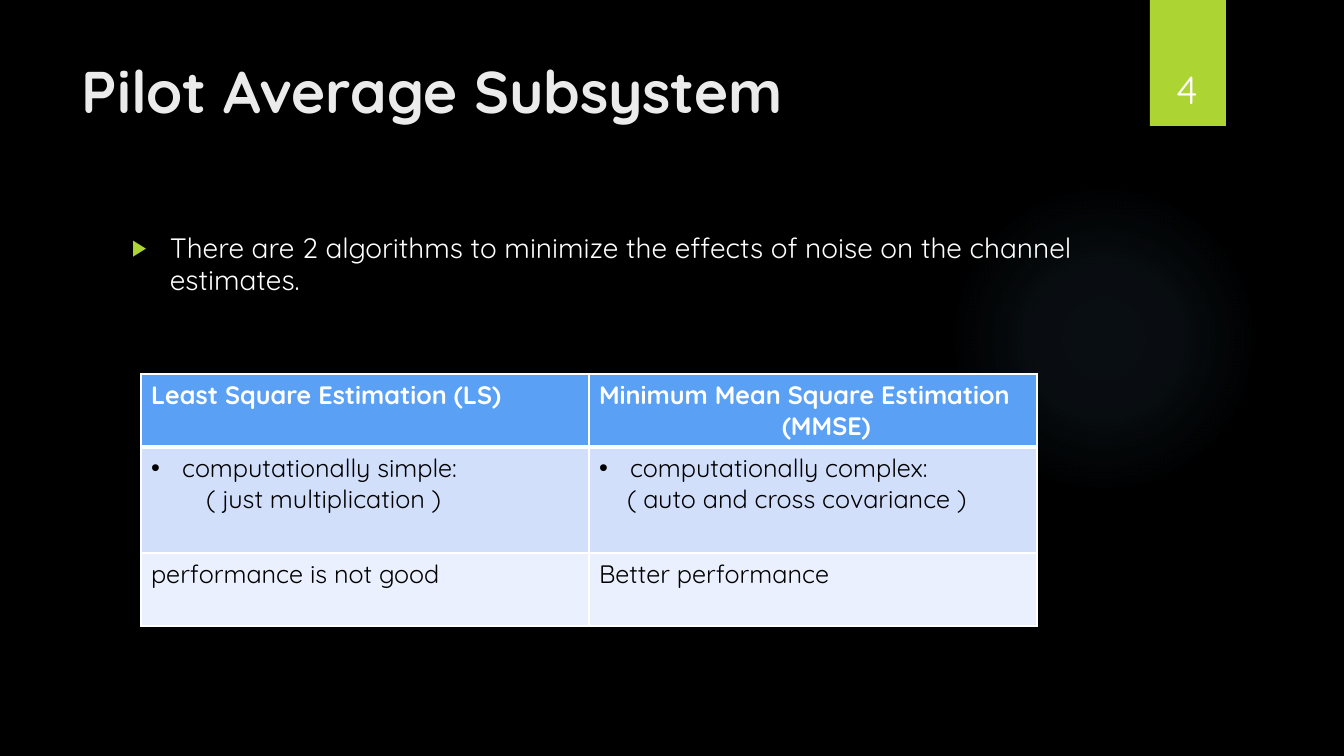
from lxml import etree
from pptx import Presentation, util as u
from pptx.dml.color import RGBColor
from pptx.enum import shapes, text
from pptx.oxml import parse_xml
from pptx.oxml.ns import qn

SCALE = 914400 / 100.8
FONT = "Quicksand"
NAMESPACE = "http://schemas.openxmlformats.org/drawingml/2006/main"
COLORS = {
    "black": "000000", "white": "FFFFFF", "title": "EBEBEB",
    "green": "ACD433", "glow": "7AC4F0",
    "header": "5AA0F5", "band": "D2DFFB", "light": "EAF0FD",
}


def px(length):
    return u.Emu(round(length * SCALE))


def rgb(name):
    return RGBColor.from_string(COLORS[name])


def style(para, size, color, bold=False):
    for span in para.runs:
        span.font.name = FONT
        span.font.size = u.Pt(size)
        span.font.bold = bold
        span.font.color.rgb = rgb(color)


def indent(para, left, bullet=None, color=None, percent=100):
    props = para._p.get_or_add_pPr()
    props.set("marL", str(px(left)))
    if bullet:
        props.set("indent", str(-px(left)))
        if color:
            tint = etree.SubElement(props, qn("a:buClr"))
            etree.SubElement(tint, qn("a:srgbClr"), val=COLORS[color])
        etree.SubElement(props, qn("a:buSzPct"), val=str(percent * 1000))
        etree.SubElement(props, qn("a:buFont"), typeface="Arial")
        etree.SubElement(props, qn("a:buChar"), char=bullet)


def add_text(page, box, words, size, color, bold=False):
    frame = page.shapes.add_textbox(*map(px, box)).text_frame
    frame.word_wrap = True
    frame.text = words
    para = frame.paragraphs[0]
    style(para, size, color, bold)
    return frame, para


def add_plain_shape(page, kind, box):
    shape = page.shapes.add_shape(kind, *map(px, box))
    shape.shadow.inherit = False
    shape.line.fill.background()
    return shape


def add_glow(page, box):
    glow = add_plain_shape(page, shapes.MSO_SHAPE.OVAL, box)
    stops = "".join(
        f'<a:gs pos="{position * 1000}"><a:srgbClr val="{COLORS["glow"]}">'
        f'<a:alpha val="{alpha * 1000}"/></a:srgbClr></a:gs>'
        for position, alpha in ((0, 7), (36, 6), (69, 0), (100, 0)))
    gradient = parse_xml(
        f'<a:gradFill xmlns:a="{NAMESPACE}" rotWithShape="1"><a:gsLst>{stops}</a:gsLst>'
        '<a:path path="circle"><a:fillToRect l="50000" t="50000" r="50000" b="50000"/>'
        '</a:path></a:gradFill>')
    glow._element.spPr.find(qn("a:prstGeom")).addnext(gradient)


def add_page_tab(page, box, number):
    left, top, width, height = box
    tab = add_plain_shape(page, shapes.MSO_SHAPE.RECTANGLE, box)
    tab.fill.solid()
    tab.fill.fore_color.rgb = rgb("green")
    frame, para = add_text(page, (left - 10, top + 32, width + 18, height - 41),
                           number, 28, "white")
    frame.vertical_anchor = text.MSO_ANCHOR.BOTTOM
    para.alignment = text.PP_ALIGN.CENTER


def add_statement(page, box, words):
    para = add_text(page, box, words, 20, "white")[1]
    para.line_spacing = 0.95
    indent(para, 38, "▶", "green", 80)


def set_borders(cell, top, bottom):
    props = cell._tc.get_or_add_tcPr()
    for place, (side, width) in enumerate((("L", 1), ("R", 1), ("T", top), ("B", bottom))):
        props.insert(place, parse_xml(
            f'<a:ln{side} xmlns:a="{NAMESPACE}" w="{u.Pt(width)}"><a:solidFill>'
            f'<a:srgbClr val="{COLORS["white"]}"/></a:solidFill></a:ln{side}>'))


def add_comparison(page, box, row_heights, rows):
    grid = page.shapes.add_table(len(rows), len(rows[0]), *map(px, box)).table
    for row, height in zip(grid.rows, row_heights):
        row.height = px(height)
    for row_index, (row, fill) in enumerate(zip(rows, ("header", "band", "light"))):
        is_header = row_index == 0
        for column, lines in enumerate(row):
            cell = grid.cell(row_index, column)
            cell.fill.solid()
            cell.fill.fore_color.rgb = rgb(fill)
            set_borders(cell, 3 if row_index == 1 else 1, 3 if is_header else 1)
            cell.text_frame.text = "\n".join(words for words, *_ in lines)
            for para, (_, left, *bullet) in zip(cell.text_frame.paragraphs, lines):
                indent(para, left, *bullet)
                style(para, 18, "white" if is_header else "black", is_header)


def build_slide(deck):
    page = deck.slides.add_slide(deck.slide_layouts[6])
    page.background.fill.solid()
    page.background.fill.fore_color.rgb = rgb("black")
    add_glow(page, (949, 184, 310, 310))
    add_page_tab(page, (1150, 0, 76, 126), "4")
    add_text(page, (72, 50, 1037, 154), "Pilot Average Subsystem", 42, "title", True)
    add_statement(page, (122, 228, 986, 462),
                  "There are 2 algorithms to minimize the effects of noise "
                  "on the channel estimates.")
    add_comparison(page, (141, 374, 896, 252), (73, 106, 73), [
        [[("Least Square Estimation (LS)", 0)],
         [("Minimum Mean Square Estimation", 0), ("(MMSE)", 183)]],
        [[("computationally simple:", 31, "•"), ("( just multiplication )", 55)],
         [("computationally complex:", 31, "•"), ("( auto and cross covariance )", 28)]],
        [[("performance is not good", 0)], [("Better performance", 0)]],
    ])


def main():
    deck = Presentation()
    deck.slide_width, deck.slide_height = px(1344), px(756)
    build_slide(deck)
    deck.save("out.pptx")


if __name__ == "__main__":
    main()
